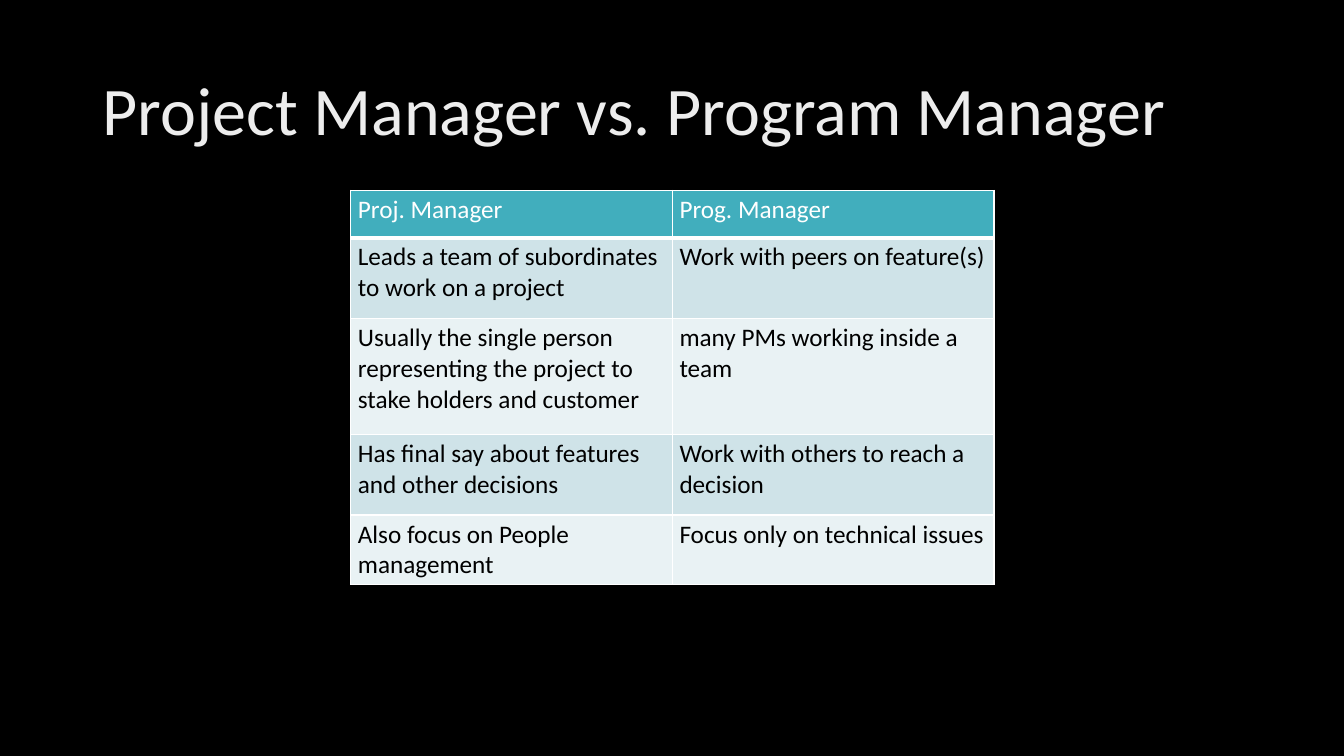
from dataclasses import dataclass

from lxml.etree import SubElement
from pptx import Presentation
from pptx.dml.color import RGBColor
from pptx.enum.text import MSO_ANCHOR, MSO_AUTO_SIZE, PP_ALIGN
from pptx.oxml.ns import qn
from pptx.util import Inches, Pt


@dataclass(frozen=True)
class Theme:
    font: str = "Calibri"
    back: str = "000000"
    title: str = "EDEDED"
    head: str = "41AEBD"
    bands: tuple = ("CFE3E8", "E9F2F4")
    light: str = "FFFFFF"
    dark: str = "000000"
    big: float = 48.6
    small: float = 18


THEME = Theme()
ROWS = [
    ("Proj. Manager", "Prog. Manager"),
    ("Leads a team of subordinates to work on a project",
     "Work with peers on feature(s)"),
    ("Usually the single person representing the project to stake holders and customer",
     "many PMs working inside a team"),
    ("Has final say about features and other decisions",
     "Work with others to reach a decision"),
    ("Also focus on People management", "Focus only on technical issues"),
]
HEIGHTS = [0.47, 0.8, 1.15, 0.8, 0.68]


def paint(fill, color):
    fill.solid()
    fill.fore_color.rgb = RGBColor.from_string(color)


def add_run(para, text, size, color):
    run = para.add_run()
    run.text = text
    run.font.name = THEME.font
    run.font.size = Pt(size)
    run.font.color.rgb = RGBColor.from_string(color)


def add_title(slide, box, text):
    title = slide.shapes.title
    title.left, title.top, title.width, title.height = map(Inches, box)
    frame = title.text_frame
    frame.word_wrap = True
    frame.auto_size = MSO_AUTO_SIZE.NONE
    frame.vertical_anchor = MSO_ANCHOR.MIDDLE
    para = frame.paragraphs[0]
    para.alignment = PP_ALIGN.LEFT
    para.line_spacing = 0.9
    add_run(para, text, THEME.big, THEME.title)


def add_edges(cell, base):
    props = cell._tc.get_or_add_tcPr()
    for side, width in zip("LRTB", (1, 1, 1, base)):
        line = SubElement(props, qn(f"a:ln{side}"), w=str(Pt(width)))
        fill = SubElement(line, qn("a:solidFill"))
        SubElement(fill, qn("a:srgbClr"), val=THEME.light)


def fill_cell(cell, text, row):
    head = row == 0
    add_edges(cell, 3 if head else 1)
    paint(cell.fill, THEME.head if head else THEME.bands[(row - 1) % 2])
    cell.margin_left = cell.margin_right = Inches(0.07)
    cell.margin_top = cell.margin_bottom = Inches(0.04)
    color = THEME.light if head else THEME.dark
    add_run(cell.text_frame.paragraphs[0], text, THEME.small, color)


def add_grid(slide, box, rows, heights):
    count = len(rows[0])
    frame = slide.shapes.add_table(len(rows), count, *map(Inches, box))
    table = frame.table
    for col in table.columns:
        col.width = Inches(box[2] / count)
    for row, texts in enumerate(rows):
        table.rows[row].height = Inches(heights[row])
        for col, text in enumerate(texts):
            fill_cell(table.cell(row, col), text, row)


def main():
    deck = Presentation()
    deck.slide_width, deck.slide_height = Inches(13.33), Inches(7.5)
    slide = deck.slides.add_slide(deck.slide_layouts[5])
    paint(slide.background.fill, THEME.back)
    add_title(slide, (0.92, 0.4, 11.5, 1.45), "Project Manager vs. Program Manager")
    add_grid(slide, (3.48, 1.89, 6.38, sum(HEIGHTS)), ROWS, HEIGHTS)
    deck.save("out.pptx")


if __name__ == "__main__":
    main()
